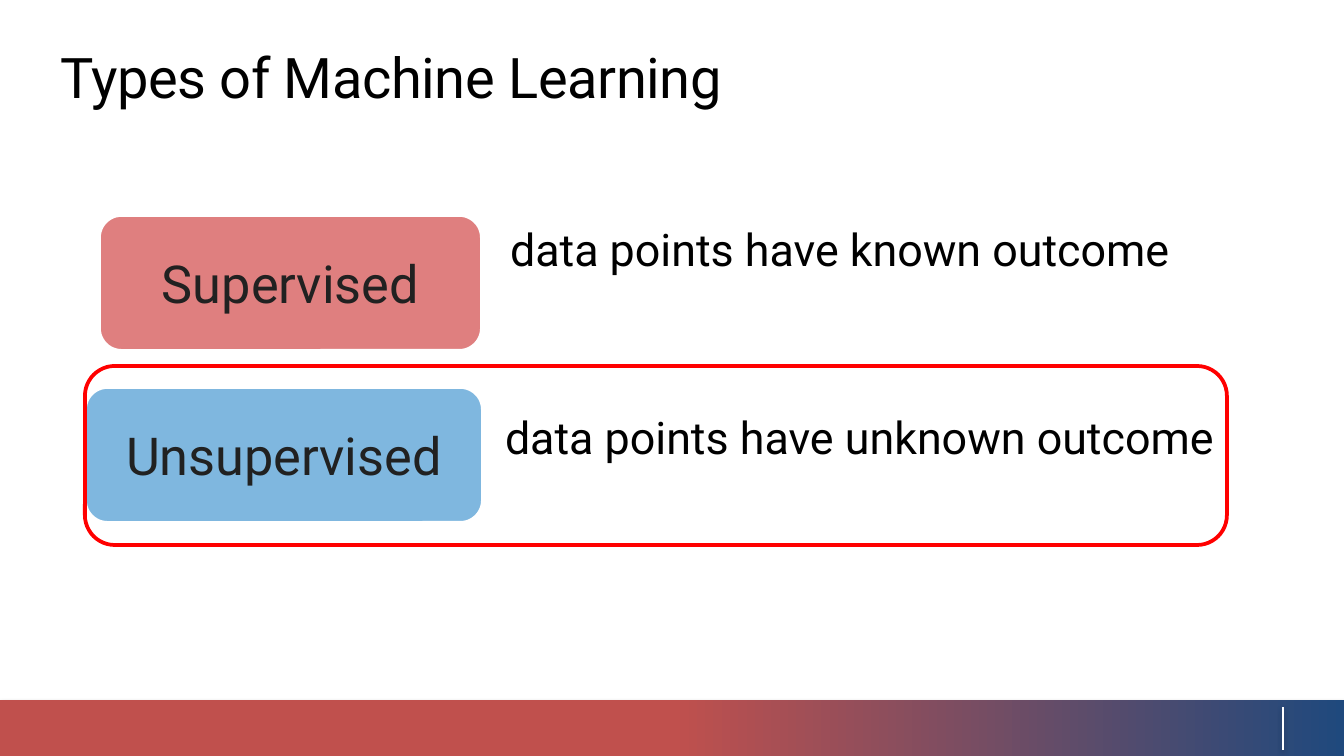
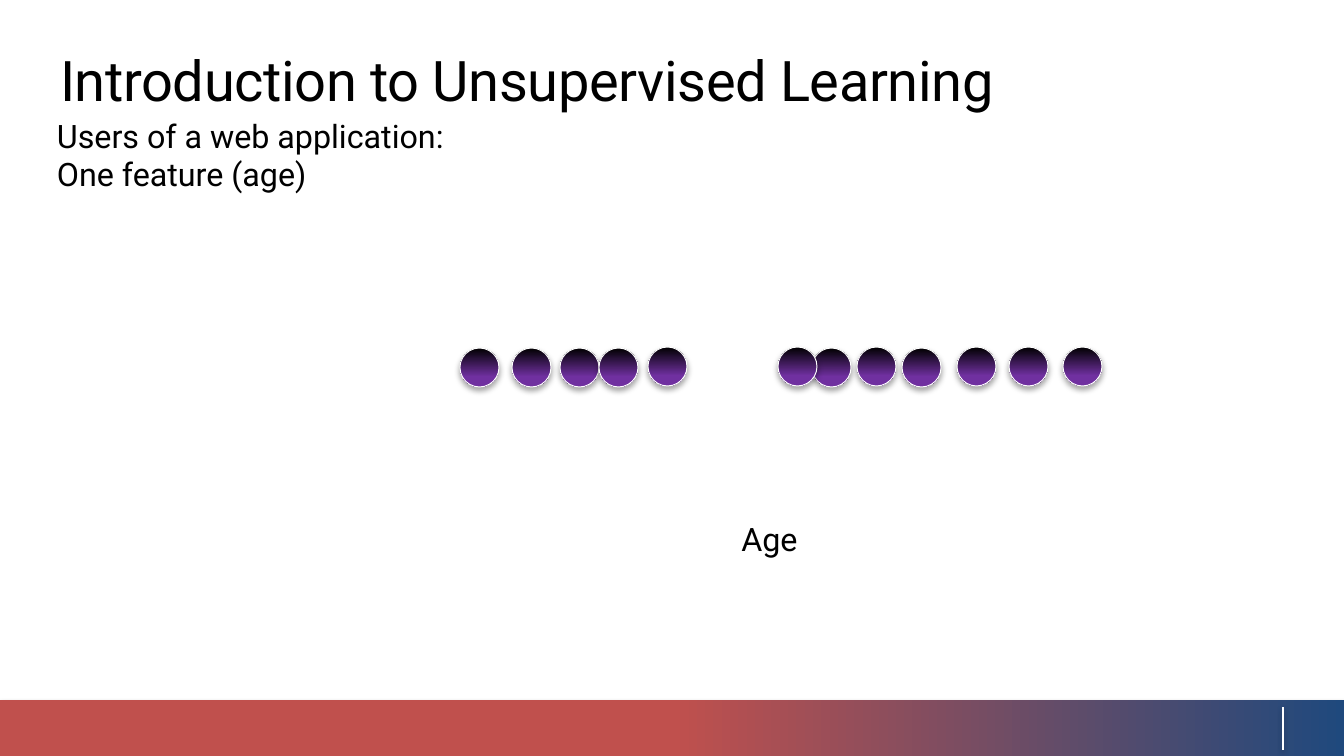
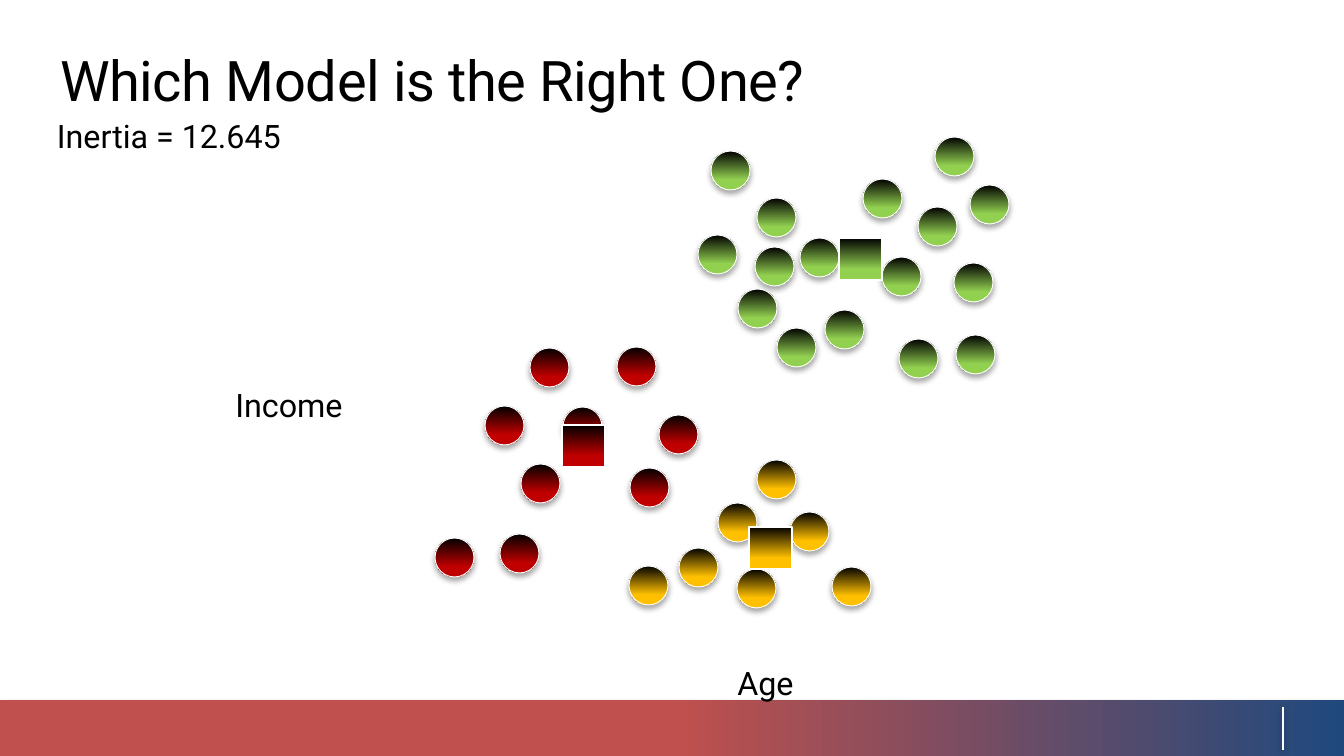
import pptx
import pptx.dml.color
import pptx.enum.shapes
import pptx.enum.text
import pptx.oxml.ns
import pptx.util
from lxml import etree

RGBColor = pptx.dml.color.RGBColor
SHAPE = pptx.enum.shapes.MSO_SHAPE
ALIGN = pptx.enum.text.PP_ALIGN
ANCHOR = pptx.enum.text.MSO_ANCHOR
Pt = pptx.util.Pt
qn = pptx.oxml.ns.qn

EMU_PER_PX = 914400 / 134.4
PAGE_WIDTH, PAGE_HEIGHT = 1344, 756
BAND_HEIGHT = 56
DOT_SIZE = 39
CENTROID_WIDTH, CENTROID_HEIGHT = 43, 42
FONT = "Roboto"
LABEL_SIZE = 17.3

BLACK = RGBColor(0x00, 0x00, 0x00)
WHITE = RGBColor(0xFF, 0xFF, 0xFF)
CHARCOAL = RGBColor(0x21, 0x21, 0x21)
BAND_NAVY = RGBColor(0x1F, 0x49, 0x7D)
BAND_RED = RGBColor(0xC0, 0x50, 0x4D)
HIGHLIGHT_RED = RGBColor(0xFF, 0x00, 0x00)
RED = RGBColor(0xC0, 0x00, 0x00)
BLUE = RGBColor(0x00, 0x70, 0xC0)
PURPLE = RGBColor(0x70, 0x30, 0xA0)
GREEN = RGBColor(0x92, 0xD0, 0x50)
YELLOW = RGBColor(0xFF, 0xC0, 0x00)

AGE_DOTS = [
    (648, 347), (460, 348), (512, 348), (560, 348), (599, 348), (812, 348),
    (902, 348), (778, 347), (857, 347), (957, 347), (1009, 347), (1063, 347),
]
# Each cluster: colour, top left of its dots, top left of its centroid.
CLUSTERS = [
    (GREEN, [
        (711, 151), (698, 235), (757, 198), (755, 247), (738, 289), (800, 238),
        (825, 310), (777, 328), (899, 339), (956, 335), (954, 263), (882, 257),
        (918, 207), (970, 185), (935, 137), (863, 179),
    ], (839, 238)),
    (RED, [
        (435, 538), (485, 406), (530, 348), (563, 407), (617, 347), (659, 415),
        (630, 468), (521, 464), (500, 534),
    ], (562, 425)),
    (YELLOW, [
        (629, 566), (679, 548), (718, 503), (757, 460), (790, 512), (737, 569),
        (832, 567),
    ], (749, 527)),
]


def px(length):
    return round(length * EMU_PER_PX)


def write(frame, text, size, color=BLACK, align=ALIGN.LEFT, anchor=ANCHOR.TOP,
          line_spacing=None, tracking=None):
    """Fill a text frame, one paragraph per line of text."""
    frame.word_wrap = True
    frame.vertical_anchor = anchor
    for index, line in enumerate(text.split("\n")):
        para = frame.add_paragraph() if index else frame.paragraphs[0]
        para.alignment = align
        if line_spacing:
            para.line_spacing = line_spacing
        span = para.add_run()
        span.text = line
        span.font.name = FONT
        span.font.size = Pt(size)
        span.font.color.rgb = color
        if tracking:
            span.font._element.set("spc", str(round(tracking * 100)))


def add_text(page, left, top, width, height, text, size, inset=(0, 0), **style):
    box = page.shapes.add_textbox(px(left), px(top), px(width), px(height))
    frame = box.text_frame
    frame.margin_left = frame.margin_right = px(inset[0])
    frame.margin_top = frame.margin_bottom = px(inset[1])
    write(frame, text, size, **style)


def add_plain_shape(page, kind, left, top, width, height,
                    line_color=None, line_width=0):
    shape = page.shapes.add_shape(kind, px(left), px(top), px(width), px(height))
    shape.shadow.inherit = False
    shape.fill.background()
    if line_color is None:
        shape.line.fill.background()
    else:
        shape.line.color.rgb = line_color
        shape.line.width = Pt(line_width)
    return shape


def set_gradient(shape, stops, angle):
    """Apply (percent, colour) stops along a clockwise angle in degrees."""
    shape.fill.gradient()
    shape.fill.gradient_angle = 360 - angle
    stop_list = shape._element.spPr.find(qn("a:gradFill")).find(qn("a:gsLst"))
    for old_stop in list(stop_list):
        stop_list.remove(old_stop)
    for percent, color in stops:
        stop = etree.SubElement(stop_list, qn("a:gs"), pos=str(percent * 1000))
        etree.SubElement(stop, qn("a:srgbClr"), val=str(color))


def cast_shadow(shape, opacity=35, distance=1.8):
    """Give a shape or connector a soft black shadow straight below it."""
    properties = shape._element.spPr
    effects = properties.find(qn("a:effectLst"))
    if effects is None:
        effects = etree.SubElement(properties, qn("a:effectLst"))
    shadow = etree.SubElement(
        effects, qn("a:outerShdw"), blurRad=str(Pt(3.1)), dist=str(Pt(distance)),
        dir="5400000", rotWithShape="0")
    color = etree.SubElement(shadow, qn("a:srgbClr"), val=str(BLACK))
    etree.SubElement(color, qn("a:alpha"), val=str(opacity * 1000))


def add_footer(page):
    top = PAGE_HEIGHT - BAND_HEIGHT
    band = add_plain_shape(page, SHAPE.RECTANGLE, 0, top, PAGE_WIDTH, BAND_HEIGHT)
    set_gradient(band, [(0, BAND_NAVY), (50, BAND_RED), (100, BAND_RED)], 180)
    cast_shadow(band)

    divider = page.shapes.add_connector(
        pptx.enum.shapes.MSO_CONNECTOR.STRAIGHT,
        px(1283), px(top + 7), px(1283), px(PAGE_HEIGHT - 6))
    divider.line.color.rgb = WHITE
    divider.line.width = Pt(0.75)
    cast_shadow(divider, opacity=38, distance=1.6)


def add_page(deck, title, title_top=46):
    page = deck.slides.add_slide(deck.slide_layouts[6])
    add_footer(page)
    add_text(page, 60, title_top, 1240, 67, title, 30, tracking=-0.2)
    return page


def add_pill(page, left, top, width, text, color):
    pill = add_plain_shape(page, SHAPE.ROUNDED_RECTANGLE, left, top, width, 136,
                           WHITE, 2)
    pill.fill.solid()
    pill.fill.fore_color.rgb = color
    fill_color = pill._element.spPr.find(qn("a:solidFill")).find(qn("a:srgbClr"))
    etree.SubElement(fill_color, qn("a:alpha"), val="50000")
    write(pill.text_frame, text, 28, color=CHARCOAL, align=ALIGN.CENTER,
          anchor=ANCHOR.MIDDLE)


def add_marker(page, kind, left, top, width, height, color, line_width):
    marker = add_plain_shape(page, kind, left, top, width, height,
                             WHITE, line_width)
    set_gradient(marker, [(0, BLACK), (74, color), (100, color)], 90)
    return marker


def add_dots(page, places, color):
    for left, top in places:
        dot = add_marker(page, SHAPE.OVAL, left, top, DOT_SIZE, DOT_SIZE, color, 0.5)
        cast_shadow(dot)


def add_types_page(deck):
    page = add_page(deck, "Types of Machine Learning", title_top=43)
    description = dict(size=24, inset=(13, 7), line_spacing=1.5)
    add_text(page, 497, 188, 775, 175, "data points have known outcome",
             **description)
    add_pill(page, 99, 215, 383, "Supervised", RED)
    add_pill(page, 85, 387, 398, "Unsupervised", BLUE)
    add_text(page, 492, 376, 758, 175, "data points have unknown outcome",
             **description)
    add_plain_shape(page, SHAPE.ROUNDED_RECTANGLE, 85, 366, 1142, 179,
                    HIGHLIGHT_RED, 2)


def add_one_feature_page(deck):
    page = add_page(deck, "Introduction to Unsupervised Learning")
    add_dots(page, AGE_DOTS, PURPLE)
    add_text(page, 57, 116, 441, 77,
             "Users of a web application:\nOne feature (age)", LABEL_SIZE)
    add_text(page, 549, 519, 441, 39, "Age", LABEL_SIZE, align=ALIGN.CENTER,
             anchor=ANCHOR.MIDDLE)


def add_clusters_page(deck):
    page = add_page(deck, "Which Model is the Right One?")
    axis_label = dict(size=LABEL_SIZE, align=ALIGN.CENTER, line_spacing=Pt(28.5))
    add_text(page, 522, 649, 487, 52, "Age", **axis_label)
    add_text(page, 218, 371, 142, 52, "Income", **axis_label)
    add_text(page, 57, 116, 681, 39, "Inertia = 12.645", LABEL_SIZE)
    for color, dots, centroid in CLUSTERS:
        add_dots(page, dots, color)
        add_marker(page, SHAPE.RECTANGLE, *centroid, CENTROID_WIDTH,
                   CENTROID_HEIGHT, color, 0.75)


def main():
    deck = pptx.Presentation()
    deck.slide_width = px(PAGE_WIDTH)
    deck.slide_height = px(PAGE_HEIGHT)
    add_types_page(deck)
    add_one_feature_page(deck)
    add_clusters_page(deck)
    deck.save("out.pptx")


if __name__ == "__main__":
    main()
